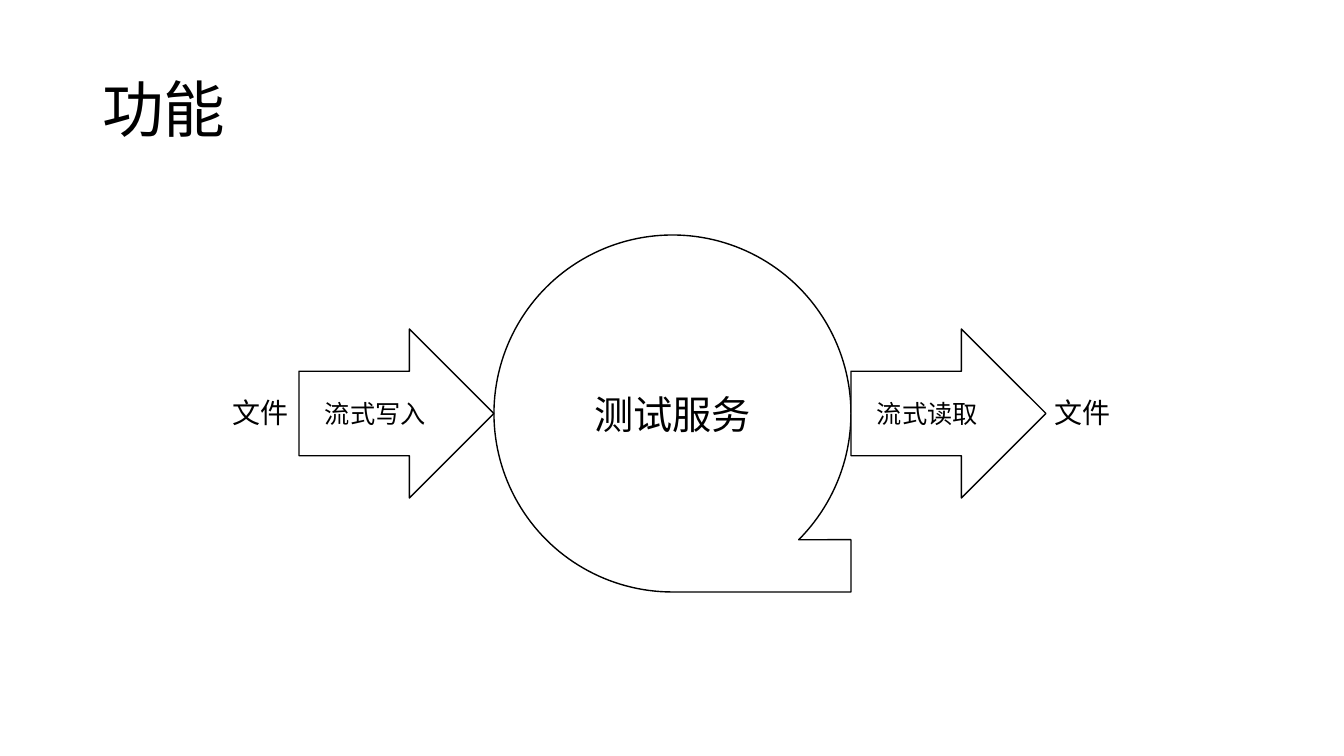
from pptx import Presentation
from pptx.dml.color import RGBColor
from pptx.enum.shapes import MSO_SHAPE
from pptx.enum.text import MSO_ANCHOR, MSO_AUTO_SIZE, PP_ALIGN
from pptx.oxml.ns import qn
from pptx.util import Emu, Pt
from lxml.etree import SubElement

BLACK = RGBColor(0x00, 0x00, 0x00)
WHITE = RGBColor(0xFF, 0xFF, 0xFF)
FONT = "Noto Sans CJK SC"
SCALE = 12192000 / 1344


def px(num):
    return Emu(round(num * SCALE))


class Deck:
    """Draws styled titles, labels and flow shapes on the current slide."""

    def __init__(self):
        self.prs = Presentation()
        self.prs.slide_width, self.prs.slide_height = px(1344), px(756)
        self.slide = self.prs.slides.add_slide(self.prs.slide_layouts[5])
        self.group = self.slide.shapes.add_group_shape()

    def letter(self, shape, text, size, align, **form):
        frame = shape.text_frame
        for key, val in {"word_wrap": True, **form}.items():
            setattr(frame, key, val)
        para = frame.paragraphs[0]
        para.alignment = align
        run = para.add_run()
        run.text = text
        for key, val in {"name": FONT, "size": Pt(size), "bold": False}.items():
            setattr(run.font, key, val)
        run.font.color.rgb = BLACK
        SubElement(run._r.get_or_add_rPr(), qn("a:ea"), typeface=FONT)
        return para

    def title(self, text, box):
        shape = self.slide.shapes.title
        for key, val in zip(("left", "top", "width", "height"), box):
            setattr(shape, key, px(val))
        para = self.letter(shape, text, 44, PP_ALIGN.LEFT,
                           vertical_anchor=MSO_ANCHOR.MIDDLE)
        para.line_spacing = 0.9

    def label(self, text, box, align):
        shape = self.group.shapes.add_textbox(*map(px, box))
        self.letter(shape, text, 20, align,
                    auto_size=MSO_AUTO_SIZE.SHAPE_TO_FIT_TEXT)

    def shape(self, kind, text, box, size):
        shape = self.group.shapes.add_shape(kind, *map(px, box))
        shape.shadow.inherit = False
        shape.fill.solid()
        shape.fill.fore_color.rgb = WHITE
        shape.line.color.rgb = BLACK
        shape.line.width = Pt(1)
        self.letter(shape, text, size, PP_ALIGN.CENTER,
                    vertical_anchor=MSO_ANCHOR.MIDDLE)


def main():
    deck = Deck()
    deck.title("功能", (92, 40, 1159, 146))
    deck.shape(MSO_SHAPE.FLOWCHART_SEQUENTIAL_ACCESS_STORAGE, "测试服务",
               (494, 235, 357, 357), 28)
    for left, align in ((92, PP_ALIGN.RIGHT), (1045, PP_ALIGN.LEFT)):
        deck.label("文件", (left, 391, 207, 44), align)
    for left, text in ((299, "流式写入"), (851, "流式读取")):
        deck.shape(MSO_SHAPE.RIGHT_ARROW, text, (left, 329, 195, 169), 18)
    deck.prs.save("out.pptx")


if __name__ == "__main__":
    main()
